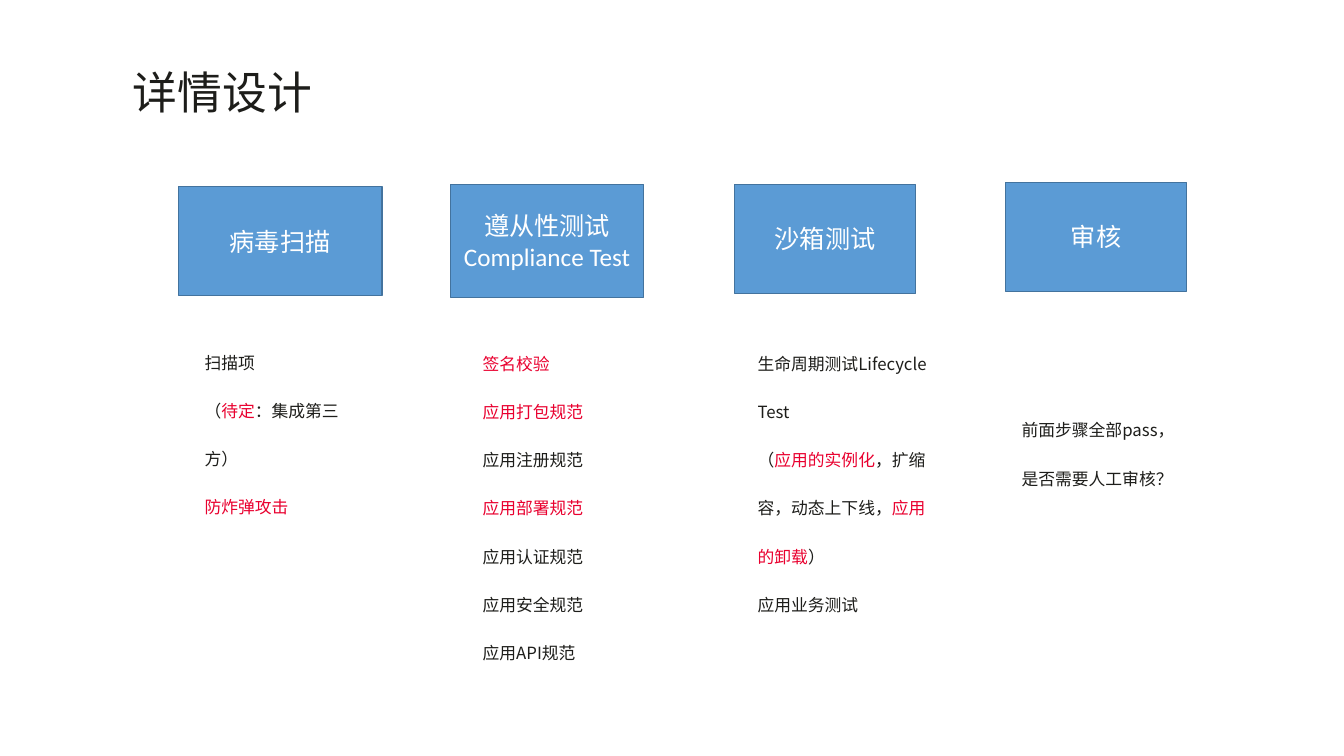
from lxml.etree import SubElement
from pptx import Presentation
from pptx.dml.color import RGBColor
from pptx.enum.shapes import MSO_SHAPE as Shape
from pptx.enum.text import MSO_ANCHOR as Anchor, MSO_AUTO_SIZE as AutoSize, PP_ALIGN as Align
from pptx.oxml.ns import qn
from pptx.util import Emu, Pt

PX = 9144  # EMU per px, 100 px to the inch
COLORS = {"box": "5B9BD5", "border": "43739E", "white": "FFFFFF",
          "text": "1D1D1A", "accent": "E9002F"}
BOX_FONT, TEXT_FONT = "Calibri", "Noto Sans CJK SC"
COMPARISON_LAYOUT = 4  # a title and four body placeholders

# Each stage: box label, box place, text place, paragraphs (|accented| parts)
STAGES = [
    ("病毒扫描", (177, 185, 202, 108), (193, 317, 185, 201),
     ["扫描项", "（|待定|：集成第三方）", "|防炸弹攻击|"]),
    ("遵从性测试Compliance Test", (447, 183, 192, 112), (469, 318, 171, 392),
     ["|签名校验|", "|应用打包规范|", "应用注册规范", "|应用部署规范|",
      "应用认证规范", "应用安全规范", "应用API规范"]),
    ("沙箱测试", (729, 183, 180, 108), (742, 318, 192, 296),
     ["生命周期测试Lifecycle Test",
      "（|应用的实例化|，扩缩容，动态上下线，|应用的卸载|）", "应用业务测试"]),
    ("审核", (998, 181, 180, 108), (1004, 384, 174, 105),
     ["前面步骤全部pass，是否需要人工审核？"]),
]


def color(name):
    return RGBColor.from_string(COLORS[name])


def emu(place):
    return [Emu(value * PX) for value in place]


def format_run(run, size, font, color_name):
    run.font.size = Pt(size)
    run.font.bold = False
    run.font.color.rgb = color(color_name)
    run.font.name = font
    east_asian = SubElement(run.font._element, qn("a:ea"))
    east_asian.set("typeface", TEXT_FONT)


def add_stage_box(slide, label, place):
    box = slide.shapes.add_shape(Shape.RECTANGLE, *emu(place))
    box.shadow.inherit = False
    box.fill.solid()
    box.fill.fore_color.rgb = color("box")
    box.line.color.rgb = color("border")
    box.line.width = Pt(1)
    box.text_frame.text = label
    box.text_frame.vertical_anchor = Anchor.MIDDLE
    paragraph = box.text_frame.paragraphs[0]
    paragraph.alignment = Align.CENTER
    format_run(paragraph.runs[0], 18, BOX_FONT, "white")


def fill_paragraph(paragraph, marked_text, size):
    paragraph.alignment = Align.LEFT
    paragraph.line_spacing = Pt(34.4)
    paragraph.space_before = paragraph.space_after = Pt(0)
    # No bullet and no indent
    properties = paragraph._p.get_or_add_pPr()
    properties.set("marL", "0")
    properties.set("indent", "0")
    SubElement(properties, qn("a:buNone"))
    for index, part in enumerate(marked_text.split("|")):
        if part:
            run = paragraph.add_run()
            run.text = part
            format_run(run, size, TEXT_FONT, "accent" if index % 2 else "text")


def fill_placeholder(placeholder, place, lines, size):
    placeholder.left, placeholder.top, placeholder.width, placeholder.height = emu(place)
    frame = placeholder.text_frame
    frame.word_wrap = True
    frame.auto_size = AutoSize.SHAPE_TO_FIT_TEXT
    frame.vertical_anchor = Anchor.TOP
    for index, line in enumerate(lines):
        paragraph = frame.add_paragraph() if index else frame.paragraphs[0]
        fill_paragraph(paragraph, line, size)


def main():
    presentation = Presentation()
    presentation.slide_width, presentation.slide_height = emu((1334, 750))
    slide = presentation.slides.add_slide(presentation.slide_layouts[COMPARISON_LAYOUT])

    # Title
    fill_placeholder(slide.shapes.title, (122, 65, 261, 58), ["详情设计"], 32)

    # Stages with their details
    for index, (label, box_place, text_place, lines) in enumerate(STAGES, start=1):
        add_stage_box(slide, label, box_place)
        fill_placeholder(slide.placeholders[index], text_place, lines, 12)

    presentation.save("out.pptx")


if __name__ == "__main__":
    main()
